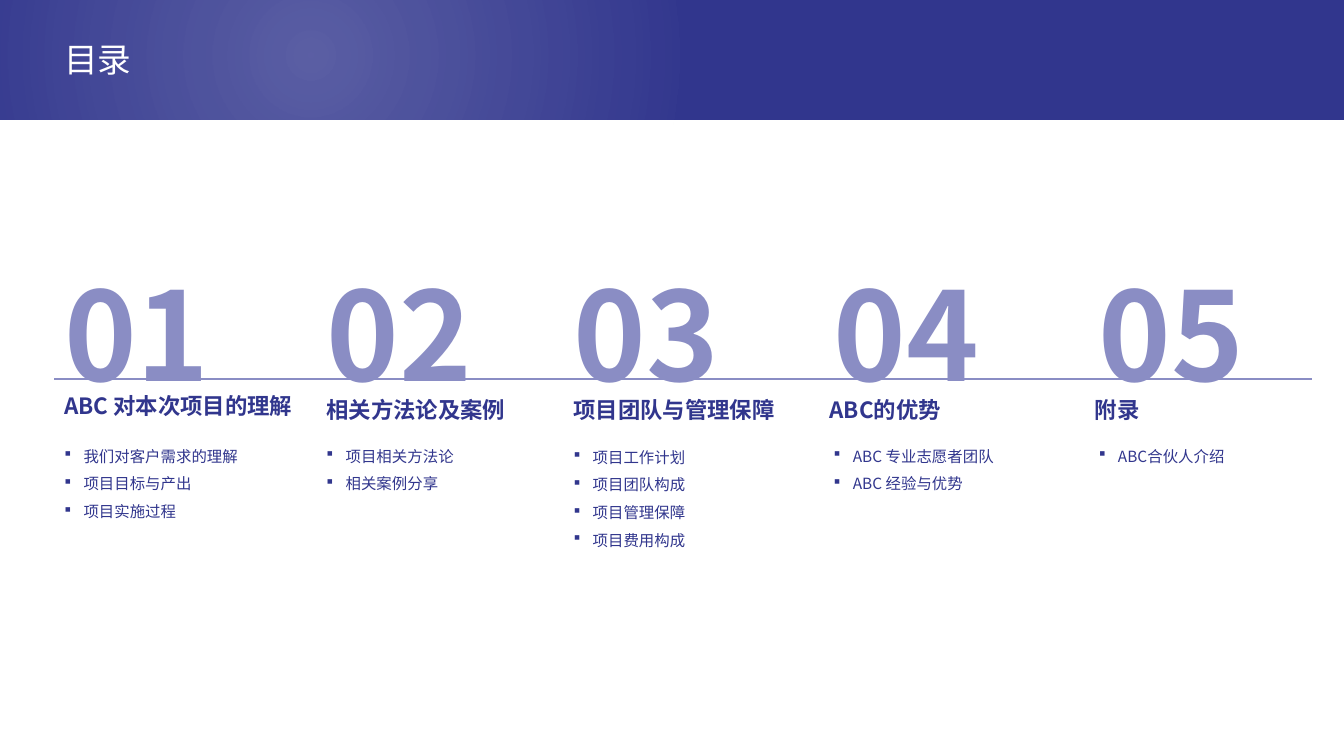
from lxml import etree
from pptx import Presentation
from pptx.dml.color import RGBColor
from pptx.enum import shapes, text
from pptx.oxml import ns
from pptx.util import Inches, Pt

COLORS = {"navy": "31368D", "lilac": "8A8DC4", "white": "FFFFFF"}
FONT = "Noto Sans CJK SC"

deck = Presentation()
deck.slide_width, deck.slide_height = Inches(13.33), Inches(7.5)
page = deck.slides.add_slide(deck.slide_layouts[6])


def add_rectangle(left, top, width, height):
    rectangle = page.shapes.add_shape(
        shapes.MSO_SHAPE.RECTANGLE, *map(Inches, (left, top, width, height)))
    rectangle.shadow.inherit = False
    rectangle.line.fill.background()
    return rectangle


def add_text(place, lines, size, color, anchor, bold=False, spacing=None, bullet=None, wrap=True):
    box = page.shapes.add_textbox(*map(Inches, place))
    frame = box.text_frame
    frame.word_wrap = wrap
    frame.auto_size = text.MSO_AUTO_SIZE.SHAPE_TO_FIT_TEXT
    frame.vertical_anchor = anchor
    frame.text = "\n".join(lines)
    for para in frame.paragraphs:
        if spacing:
            para.line_spacing = spacing
        if bullet:
            properties = para._p.get_or_add_pPr()
            properties.set("marL", str(Inches(0.19)))
            properties.set("indent", str(Inches(-0.19)))
            etree.SubElement(properties, ns.qn("a:buFont"), typeface="Wingdings", charset="2")
            etree.SubElement(properties, ns.qn("a:buChar"), char=bullet)
        font = para.font
        font.size, font.bold, font.name = Pt(size), bold, FONT
        font.color.rgb = RGBColor.from_string(COLORS[color])
        etree.SubElement(font._element, ns.qn("a:ea"), typeface=FONT)


banner = add_rectangle(0, 0, 13.33, 1.19)
banner.fill.solid()
banner.fill.fore_color.rgb = RGBColor.from_string(COLORS["navy"])

glow = add_rectangle(-2.47, -0.17, 11.1, 1.44)
glow.fill.gradient()
gradient = glow.fill._xPr.find(ns.qn("a:gradFill"))
for child in list(gradient):
    gradient.remove(child)
stops = etree.SubElement(gradient, ns.qn("a:gsLst"))
for position, opacity in ((0, 20), (66, 0)):
    stop = etree.SubElement(stops, ns.qn("a:gs"), pos=str(position * 1000))
    color = etree.SubElement(stop, ns.qn("a:srgbClr"), val=COLORS["white"])
    etree.SubElement(color, ns.qn("a:alpha"), val=str(opacity * 1000))
circle = etree.SubElement(gradient, ns.qn("a:path"), path="circle")
etree.SubElement(circle, ns.qn("a:fillToRect"), l="50000", t="50000", r="50000", b="50000")

add_text((0.54, 0.38, 12.32, 0.46), ["目录"], 24, "white", text.MSO_ANCHOR.MIDDLE, spacing=0.9)

rule = page.shapes.add_connector(
    shapes.MSO_CONNECTOR.STRAIGHT, Inches(0.54), Inches(3.76), Inches(13.01), Inches(3.76))
rule.line.width = Pt(2)
rule.line.color.rgb = RGBColor.from_string(COLORS["lilac"])
etree.SubElement(rule._element.spPr, ns.qn("a:effectLst"))

sections = [
    (0.54, "ABC 对本次项目的理解", (0.54, 3.84, 2.56, 0.37), None, 4.29,
     ["我们对客户需求的理解", "项目目标与产出", "项目实施过程"]),
    (3.14, "相关方法论及案例", (3.14, 3.48, 2.56, 0.77), 2.5, 4.29,
     ["项目相关方法论", "相关案例分享"]),
    (5.59, "项目团队与管理保障", (5.59, 3.48, 3.46, 0.77), 2.5, 4.3,
     ["项目工作计划", "项目团队构成", "项目管理保障", "项目费用构成"]),
    (8.17, "ABC的优势", (8.13, 3.59, 3.35, 0.66), 2.5, 4.29,
     ["ABC 专业志愿者团队", "ABC 经验与优势"]),
    (10.8, "附录", (10.76, 3.59, 3.35, 0.66), 2.5, 4.29,
     ["ABC合伙人介绍"]),
]
for number, (left, heading, place, spacing, list_top, topics) in enumerate(sections, 1):
    add_text((left, 2.51, 1.72, 1.58), [f"{number:02}"], 88, "lilac",
             text.MSO_ANCHOR.MIDDLE, bold=True, wrap=False)
    add_text(place, [heading], 16, "navy", text.MSO_ANCHOR.BOTTOM, bold=True, spacing=spacing)
    add_text((left, list_top, 2.56, 0.1 + 0.28 * len(topics)), topics, 11, "navy",
             text.MSO_ANCHOR.TOP, spacing=1.5, bullet="§")

deck.save("out.pptx")
